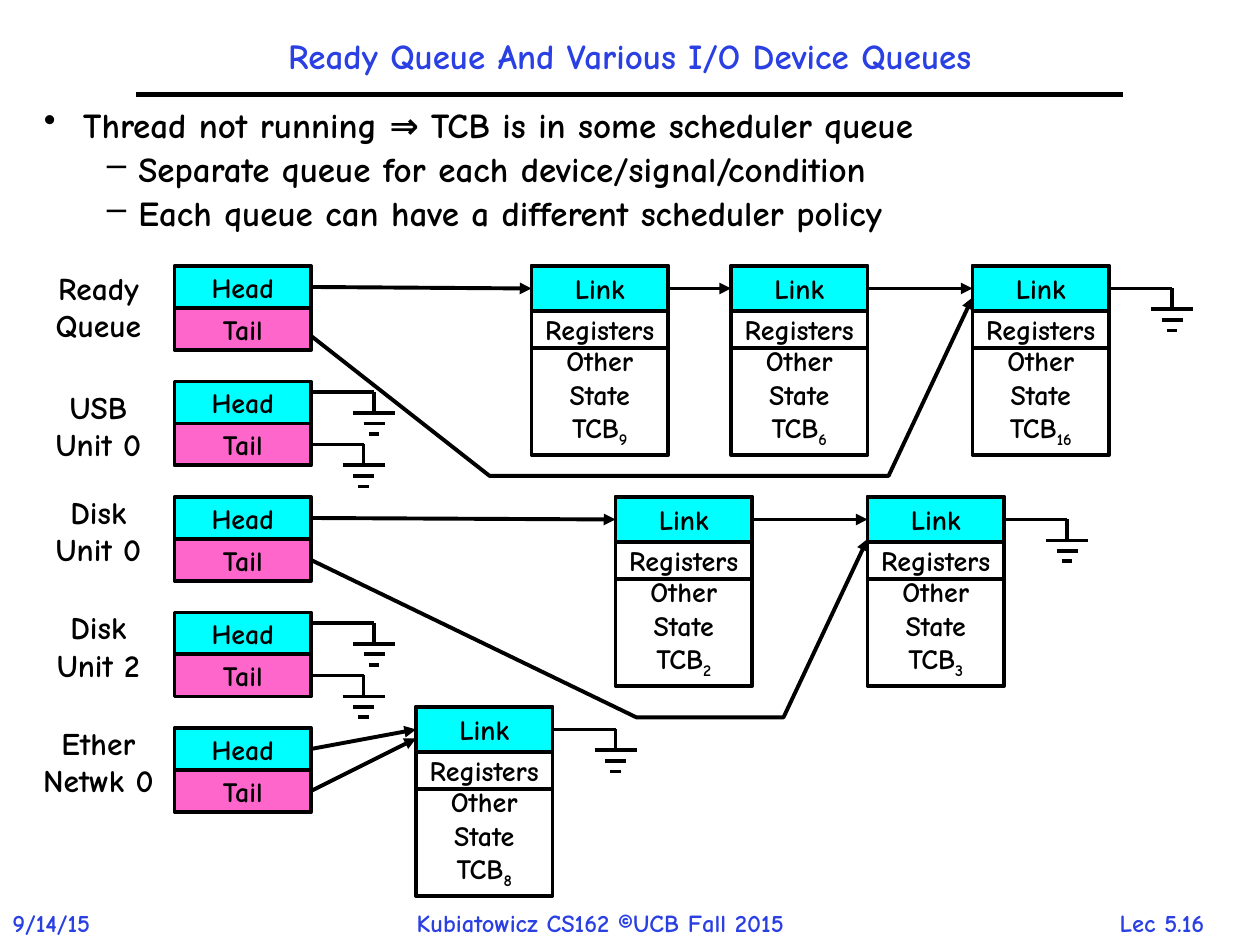
from pptx import Presentation
from pptx.dml.color import RGBColor
from pptx.enum.shapes import MSO_CONNECTOR, MSO_SHAPE
from pptx.enum.text import MSO_ANCHOR, PP_ALIGN
from pptx.oxml.ns import qn
from pptx.util import Pt
from lxml.etree import SubElement

FONT = "Comic Neue"
BLACK, WHITE, BLUE, CYAN, PINK = "000000", "FFFFFF", "2A40E2", "00FFFF", "FF66CC"
LINE_WIDTH = 2.25
BOX_WIDTH = 78
QUEUE_LEFT, QUEUE_RIGHT = 99.75, 177.75
ROW_TOP, ROW_PITCH, CELL_HEIGHT = 152, 66, 24
RIGHT, LEFT = 3, 1


def color(hex_string):
    return RGBColor.from_string(hex_string)


def style_paragraph(para, size, hex_color=BLACK, align=PP_ALIGN.CENTER):
    para.alignment = align
    para.font.name = FONT
    para.font.size = Pt(size)
    para.font.bold = True
    para.font.color.rgb = color(hex_color)


def add_text(page, left, top, width, height, lines, size, hex_color=BLACK,
             align=PP_ALIGN.CENTER, wrap=False):
    box = page.shapes.add_textbox(Pt(left), Pt(top), Pt(width), Pt(height))
    frame = box.text_frame
    frame.word_wrap = wrap
    frame.text = "\n".join(lines)
    for para in frame.paragraphs:
        style_paragraph(para, size, hex_color, align)
    return frame


def add_bullets(page, items):
    frame = add_text(page, 18, 60, 678, 84, [text for text, *_ in items], 20,
                     align=PP_ALIGN.LEFT, wrap=True)
    for index, (para, (_, mark, margin, hang)) in enumerate(zip(frame.paragraphs, items)):
        properties = para._p.get_or_add_pPr()
        properties.set("marL", str(Pt(margin)))
        properties.set("indent", str(-Pt(hang)))
        bullet = SubElement(properties, qn("a:buChar"), char=mark)
        properties.find(qn("a:defRPr")).addprevious(bullet)
        para.line_spacing = 0.8
        if index:
            para.space_before = Pt(6)


def add_cell(page, left, top, height, lines, fill=WHITE):
    cell = page.shapes.add_shape(MSO_SHAPE.RECTANGLE, Pt(left), Pt(top),
                                 Pt(BOX_WIDTH), Pt(height))
    cell.shadow.inherit = False
    cell.fill.solid()
    cell.fill.fore_color.rgb = color(fill)
    cell.line.color.rgb = color(BLACK)
    cell.line.width = Pt(LINE_WIDTH)
    frame = cell.text_frame
    frame.word_wrap = False
    frame.vertical_anchor = MSO_ANCHOR.MIDDLE
    frame.text = "\n".join(lines)
    for para in frame.paragraphs:
        style_paragraph(para, 16)
    return cell


def add_tcb(page, left, top, number):
    """Draw a thread control block and return its link cell."""
    body = add_cell(page, left, top, 108, ["Other", "State", "TCB"])
    frame = body.text_frame
    frame.vertical_anchor = MSO_ANCHOR.TOP
    frame.margin_top = Pt(44.5)
    span = frame.paragraphs[-1].add_run()
    span.text = number
    span._r.get_or_add_rPr().set("baseline", "-25000")
    link = add_cell(page, left, top, 25.7, ["Link"], CYAN)
    add_cell(page, left, top + 25.7, 21, ["Registers"])
    return link


def add_queue(page, top, label, label_shift):
    """Draw a labelled queue and return its head and tail cells."""
    add_text(page, 12, top + label_shift, 88.5, 50, label, 18)
    head = add_cell(page, QUEUE_LEFT, top, CELL_HEIGHT, ["Head"], CYAN)
    tail = add_cell(page, QUEUE_LEFT, top + CELL_HEIGHT, CELL_HEIGHT, ["Tail"], PINK)
    return head, tail


def add_arrowhead(shape):
    line = shape._element.spPr.find(qn("a:ln"))
    SubElement(line, qn("a:tailEnd"), type="triangle")


def add_line(page, start, end, source=None, target=None, arrow=False, width=LINE_WIDTH):
    line = page.shapes.add_connector(MSO_CONNECTOR.STRAIGHT,
                                     *(Pt(value) for value in (*start, *end)))
    line.line.color.rgb = color(BLACK)
    line.line.width = Pt(width)
    if arrow:
        add_arrowhead(line)
    SubElement(line._element.spPr, qn("a:effectLst"))
    if source is not None:
        line.begin_connect(source, RIGHT)
    if target is not None:
        line.end_connect(target, LEFT)


def side_middle(cell, side):
    x = cell.left + (cell.width if side == RIGHT else 0)
    return x / Pt(1), (cell.top + cell.height / 2) / Pt(1)


def add_arrow(page, source, target):
    add_line(page, side_middle(source, RIGHT), side_middle(target, LEFT),
             source, target, arrow=True)


def add_ground(page, cell, lead=36, rise=0):
    """Draw a null pointer; a raised one leaves above the middle of the cell."""
    x, y = side_middle(cell, RIGHT)
    y -= rise
    center = x + lead
    add_line(page, (x, y), (center, y), source=None if rise else cell)
    add_line(page, (center, y), (center, y + 12))
    for drop, half in ((12, 12), (18, 6), (24, 3)):
        add_line(page, (center - half, y + drop), (center + half, y + drop))


def add_bent_arrow(page, points):
    start, *rest = [(Pt(x), Pt(y)) for x, y in points]
    builder = page.shapes.build_freeform(*start)
    builder.add_line_segments(rest, close=False)
    bend = builder.convert_to_shape()
    bend.shadow.inherit = False
    bend.fill.background()
    bend.line.color.rgb = color(BLACK)
    bend.line.width = Pt(LINE_WIDTH)
    add_arrowhead(bend)


def main():
    deck = Presentation()
    deck.slide_width, deck.slide_height = Pt(720), Pt(540)
    page = deck.slides.add_slide(deck.slide_layouts[6])

    # Title, rule and footer
    title = add_text(page, 78, 12, 564, 42,
                     ["Ready Queue And Various I/O Device Queues"], 20, BLUE, wrap=True)
    title.vertical_anchor = MSO_ANCHOR.MIDDLE
    title.paragraphs[0].line_spacing = 0.9
    add_line(page, (78, 54), (642, 54), width=3)
    for left, width, text, align in (
            (0, 72, "9/14/15", PP_ALIGN.LEFT),
            (231, 260, "Kubiatowicz CS162 ©UCB Fall 2015", PP_ALIGN.LEFT),
            (620.5, 87, "Lec 5.16", PP_ALIGN.CENTER)):
        add_text(page, left, 515.5, width, 24, [text], 14, BLUE, align)

    add_bullets(page, [
        ("Thread not running ⇒ TCB is in some scheduler queue", "•", 22.5, 22.5),
        ("Separate queue for each device/signal/condition", "–", 54, 18),
        ("Each queue can have a different scheduler policy", "–", 54, 18),
    ])

    # Queues with the blocks chained to each: (left, number)
    queues = [
        (["Ready", "Queue"], -2, [(303.75, "9"), (417.75, "6"), (555.75, "16")]),
        (["USB", "Unit 0"], 0, []),
        (["Disk", "Unit 0"], -6, [(351.75, "2"), (495.75, "3")]),
        (["Disk", "Unit 2"], -6, []),
        (["Ether", "Netwk 0"], -6, [(237.75, "8")]),
    ]
    for row, (label, label_shift, blocks) in enumerate(queues):
        top = ROW_TOP + row * ROW_PITCH
        head, tail = add_queue(page, top, label, label_shift)
        if not blocks:
            add_ground(page, head, rise=6)
            add_ground(page, tail, lead=30)
            continue
        # The single block of the last queue sits a little higher
        block_top = top - 12 if len(blocks) == 1 else top
        links = [add_tcb(page, left, block_top, number) for left, number in blocks]
        for source, target in zip([head, *links], links):
            add_arrow(page, source, target)
        add_ground(page, links[-1])
        if len(blocks) == 1:
            add_line(page, side_middle(tail, RIGHT), (blocks[0][0], block_top + 18),
                     source=tail, arrow=True)

    # Tail pointers that pass below the blocks
    add_bent_arrow(page, [(QUEUE_RIGHT, 192), (279.75, 272), (507.75, 272), (555.75, 170)])
    add_bent_arrow(page, [(QUEUE_RIGHT, 320), (363.75, 410), (447.75, 410), (495.75, 308)])

    deck.save("out.pptx")


if __name__ == "__main__":
    main()
